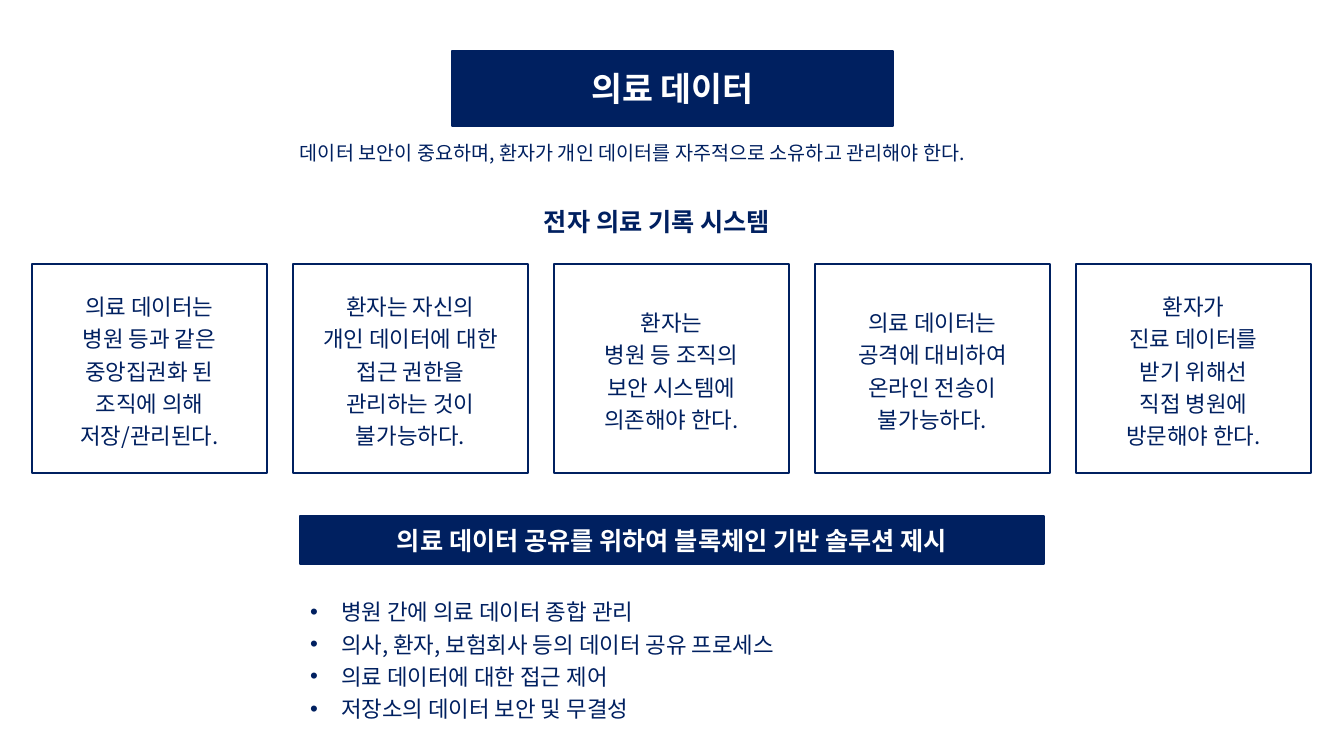
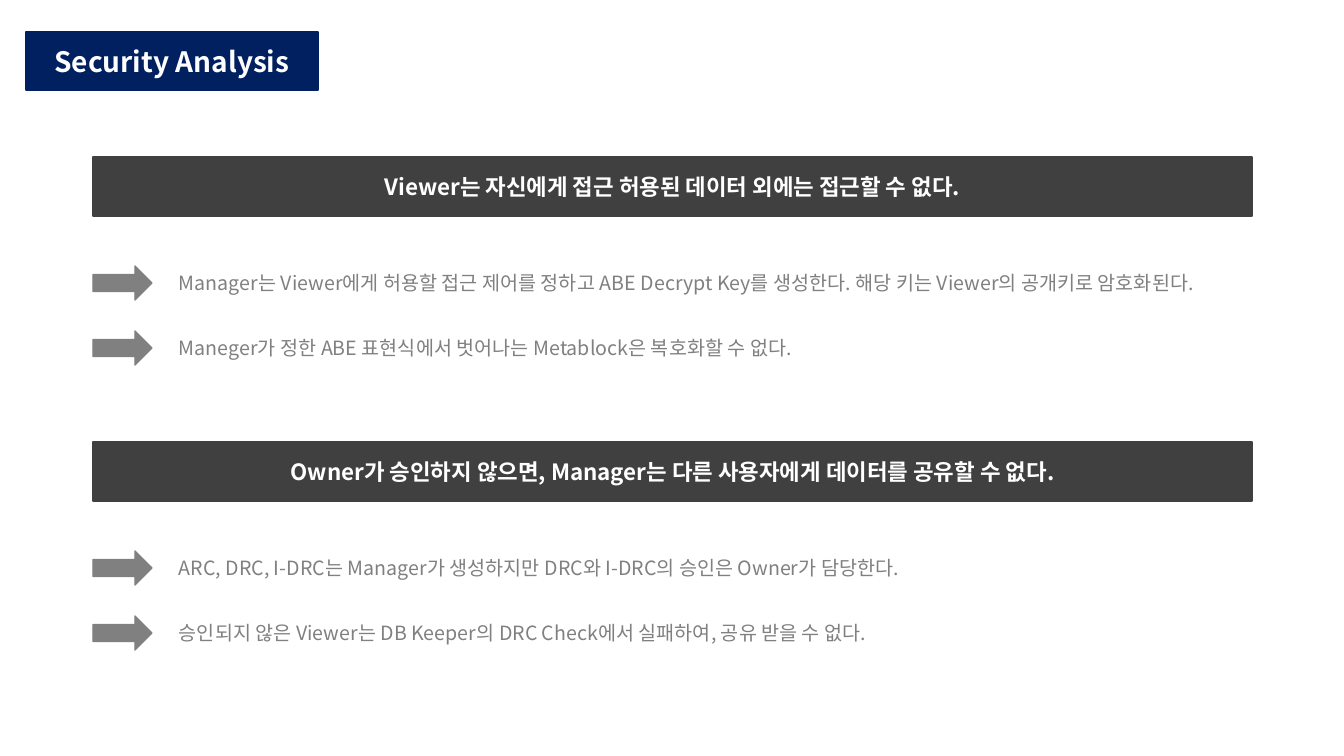
from lxml import etree
from pptx import Presentation
from pptx.dml.color import RGBColor
from pptx.enum.shapes import MSO_SHAPE
from pptx.enum.text import MSO_ANCHOR, MSO_AUTO_SIZE, PP_ALIGN
from pptx.oxml.ns import qn
from pptx.util import Emu, Pt

# Shared look
NAVY = RGBColor(0x00, 0x20, 0x60)
CHARCOAL = RGBColor(0x40, 0x40, 0x40)
GRAY = RGBColor(0x80, 0x80, 0x80)
WHITE = RGBColor(0xFF, 0xFF, 0xFF)
FONT = "Noto Sans CJK KR"
RECTANGLE, RIGHT_ARROW = MSO_SHAPE.RECTANGLE, MSO_SHAPE.RIGHT_ARROW
LEFT, CENTER = PP_ALIGN.LEFT, PP_ALIGN.CENTER
TOP, MIDDLE = MSO_ANCHOR.TOP, MSO_ANCHOR.MIDDLE

SLIDE_WIDTH, SLIDE_HEIGHT = 1344, 756
EMU_PER_PX = 12192000 / SLIDE_WIDTH
TITLE_AND_CONTENT, TITLE_ONLY = 1, 5

# Slide 1 content
DATA_TITLE = "의료 데이터"
DATA_SUMMARY = "데이터 보안이 중요하며, 환자가 개인 데이터를 자주적으로 소유하고 관리해야 한다."
RECORDS_HEADING = "전자 의료 기록 시스템"
PROBLEMS = [
    ["의료 데이터는", "병원 등과 같은", "중앙집권화 된", "조직에 의해", "저장/관리된다."],
    ["환자는 자신의", "개인 데이터에 대한", "접근 권한을", "관리하는 것이", "불가능하다."],
    ["환자는", "병원 등 조직의", "보안 시스템에", "의존해야 한다."],
    ["의료 데이터는", "공격에 대비하여", "온라인 전송이", "불가능하다."],
    ["환자가", "진료 데이터를", "받기 위해선", "직접 병원에", "방문해야 한다."],
]
SOLUTION = "의료 데이터 공유를 위하여 블록체인 기반 솔루션 제시"
GOALS = [
    "병원 간에 의료 데이터 종합 관리",
    "의사, 환자, 보험회사 등의 데이터 공유 프로세스",
    "의료 데이터에 대한 접근 제어",
    "저장소의 데이터 보안 및 무결성",
]

# Slide 2 content
SECURITY_TITLE = "Security Analysis"
CLAIMS = [
    ("Viewer는 자신에게 접근 허용된 데이터 외에는 접근할 수 없다.", [
        "Manager는 Viewer에게 허용할 접근 제어를 정하고 ABE Decrypt Key를 생성한다. "
        "해당 키는 Viewer의 공개키로 암호화된다.",
        "Maneger가 정한 ABE 표현식에서 벗어나는 Metablock은 복호화할 수 없다.",
    ]),
    ("Owner가 승인하지 않으면, Manager는 다른 사용자에게 데이터를 공유할 수 없다.", [
        "ARC, DRC, I-DRC는 Manager가 생성하지만 DRC와 I-DRC의 승인은 Owner가 담당한다.",
        "승인되지 않은 Viewer는 DB Keeper의 DRC Check에서 실패하여, 공유 받을 수 없다.",
    ]),
]


def px(length):
    return Emu(round(length * EMU_PER_PX))


def place(shape, box):
    for name, length in zip(("left", "top", "width", "height"), box):
        setattr(shape, name, px(length))


def paint(shape, fill, line, line_width=1):
    shape.fill.solid()
    shape.fill.fore_color.rgb = fill
    shape.line.color.rgb = line
    shape.line.width = Pt(line_width)


def write(shape, lines, size, color, bold=False, align=LEFT, anchor=TOP, spacing=1.0):
    frame = shape.text_frame
    frame_format = {"word_wrap": True, "auto_size": MSO_AUTO_SIZE.NONE,
                    "vertical_anchor": anchor}
    paragraph_format = {"alignment": align, "line_spacing": spacing,
                        "space_before": Pt(0)}
    font_format = {"name": FONT, "size": Pt(size), "bold": bold}
    for name, value in frame_format.items():
        setattr(frame, name, value)
    frame.text = "\n".join(lines)
    for paragraph in frame.paragraphs:
        for name, value in paragraph_format.items():
            setattr(paragraph, name, value)
        for run in paragraph.runs:
            for name, value in font_format.items():
                setattr(run.font, name, value)
            run.font.color.rgb = color
            # Korean glyphs take the East Asian typeface
            properties = run._r.get_or_add_rPr()
            etree.SubElement(properties, qn("a:ea")).set("typeface", FONT)


def add_block(slide, kind, box, fill, line, line_width=1):
    shape = slide.shapes.add_shape(kind, *map(px, box))
    shape.shadow.inherit = False
    paint(shape, fill, line, line_width)
    return shape


def add_bar(slide, text, box, color, size):
    bar = add_block(slide, RECTANGLE, box, color, color)
    write(bar, [text], size, WHITE, bold=True, align=CENTER, anchor=MIDDLE)


def add_label(slide, text, box, size, color, bold=False):
    label = slide.shapes.add_textbox(*map(px, box))
    write(label, [text], size, color, bold)


def add_titled_slide(presentation, layout, text, box, size):
    slide = presentation.slides.add_slide(presentation.slide_layouts[layout])
    title = slide.shapes.title
    place(title, box)
    paint(title, NAVY, NAVY)
    write(title, [text], size, WHITE, bold=True, align=CENTER, anchor=MIDDLE)
    return slide


def build_data_slide(presentation):
    slide = add_titled_slide(presentation, TITLE_AND_CONTENT, DATA_TITLE,
                             (452, 51, 441, 75), 24)
    add_label(slide, DATA_SUMMARY, (290, 136, 764, 34), 14, NAVY)
    add_label(slide, RECORDS_HEADING, (534, 201, 276, 40), 18, NAVY, bold=True)

    # Row of problem cards, centred on the slide
    card_width, gap = 235, 26
    row_width = len(PROBLEMS) * (card_width + gap) - gap
    row_left = (SLIDE_WIDTH - row_width) // 2
    for index, lines in enumerate(PROBLEMS):
        box = (row_left + index * (card_width + gap), 264, card_width, 209)
        card = add_block(slide, RECTANGLE, box, WHITE, NAVY, 1.5)
        write(card, lines, 16, NAVY, align=CENTER, anchor=MIDDLE, spacing=1.2)

    # Solution bar and its bullet list
    add_bar(slide, SOLUTION, (300, 516, 744, 48), NAVY, 18)
    goals = slide.placeholders[1]
    place(goals, (300, 588, 539, 137))
    write(goals, GOALS, 16, NAVY, spacing=1.2)
    indent = px(31)
    for paragraph in goals.text_frame.paragraphs:
        properties = paragraph._p.get_or_add_pPr()
        properties.set("marL", str(indent))
        properties.set("indent", str(-indent))


def build_security_slide(presentation):
    slide = add_titled_slide(presentation, TITLE_ONLY, SECURITY_TITLE,
                             (26, 32, 292, 58), 20)
    left, first_top, claim_pitch = 93, 157, 285
    reason_offset, reason_pitch, reason_height = 109, 65, 34
    for claim_index, (claim, reasons) in enumerate(CLAIMS):
        top = first_top + claim_index * claim_pitch
        add_bar(slide, claim, (left, top, 1159, 59), CHARCOAL, 16)
        for reason_index, reason in enumerate(reasons):
            reason_top = top + reason_offset + reason_index * reason_pitch
            add_block(slide, RIGHT_ARROW, (left, reason_top, 59, reason_height), GRAY, GRAY)
            add_label(slide, reason, (169, reason_top, 1112, reason_height), 14, GRAY)


def main():
    presentation = Presentation()
    presentation.slide_width = px(SLIDE_WIDTH)
    presentation.slide_height = px(SLIDE_HEIGHT)
    build_data_slide(presentation)
    build_security_slide(presentation)
    presentation.save("out.pptx")


if __name__ == "__main__":
    main()
